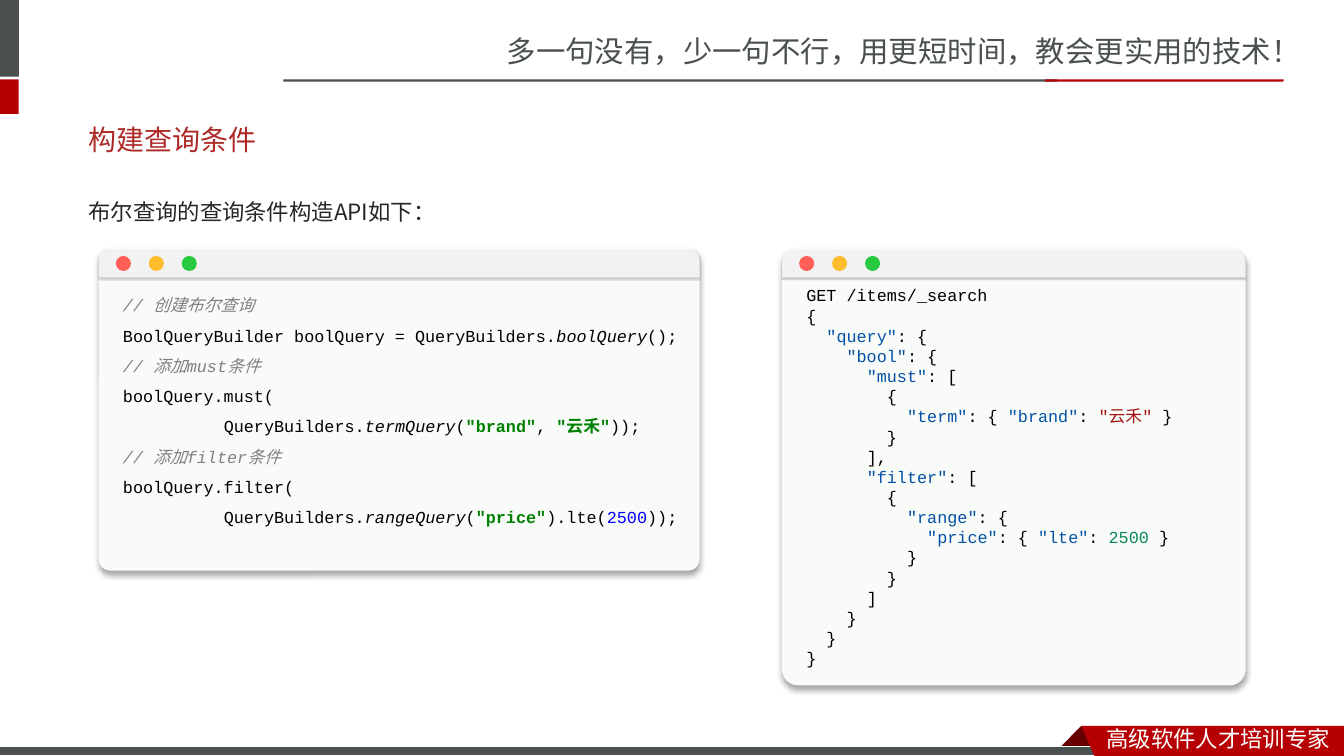
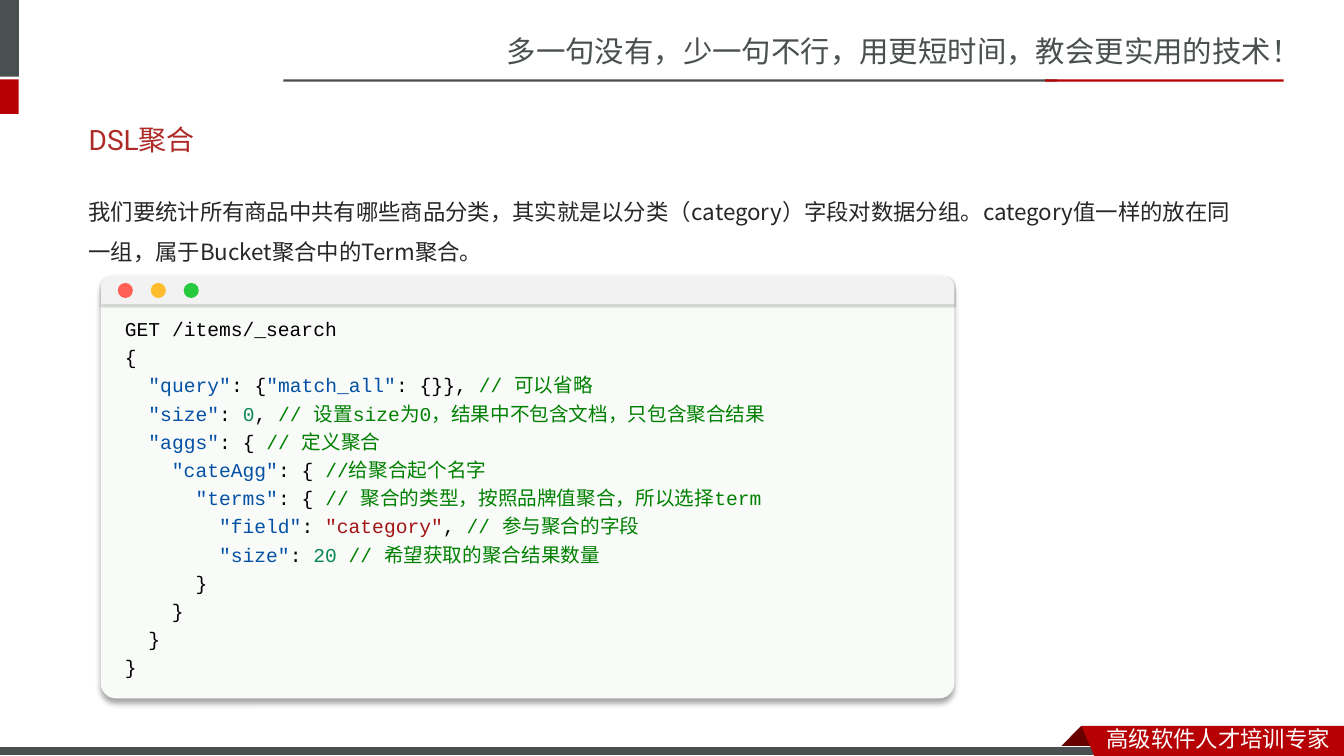
import pptx
import pptx.dml.color
import pptx.enum.shapes
import pptx.enum.text
import pptx.oxml.ns
import pptx.util
from lxml import etree

Cm = pptx.util.Cm
Pt = pptx.util.Pt
RGBColor = pptx.dml.color.RGBColor
Shape = pptx.enum.shapes.MSO_SHAPE
qn = pptx.oxml.ns.qn

# Colours
SLATE = RGBColor(0x49, 0x50, 0x4F)
RED = RGBColor(0xB6, 0x00, 0x04)
FOLD_RED = RGBColor(0x68, 0x00, 0x00)
TITLE_RED = RGBColor(0xAD, 0x2A, 0x26)
INK = RGBColor(0x26, 0x26, 0x26)
BLACK = RGBColor(0x00, 0x00, 0x00)
WHITE = RGBColor(0xFF, 0xFF, 0xFF)
PANEL = RGBColor(0xF9, 0xFB, 0xF9)
PANEL_BAR = RGBColor(0xF2, 0xF2, 0xF2)
WINDOW_DOTS = (RGBColor(0xFF, 0x5F, 0x56), RGBColor(0xFF, 0xBD, 0x2E),
               RGBColor(0x27, 0xC9, 0x3F))

# Fonts
SANS = "Noto Sans CJK SC"
BODY = "Noto Sans CJK JP"
TITLE = "Roboto"
MONO = "Courier New"

# Code styles: colour, bold, italic
KEY = (RGBColor(0x04, 0x51, 0xA5), False, False)
VALUE = (RGBColor(0xA3, 0x15, 0x15), False, False)
NUMBER = (RGBColor(0x09, 0x86, 0x58), False, False)
NOTE = (RGBColor(0x00, 0x80, 0x00), False, False)
JAVA_NOTE = (RGBColor(0x80, 0x80, 0x80), False, True)
JAVA_CALL = (BLACK, False, True)
JAVA_STRING = (RGBColor(0x00, 0x80, 0x00), True, False)
JAVA_NUMBER = (RGBColor(0x00, 0x00, 0xFF), False, False)

# Code listings: each line is its indent level, then plain text or (text, style)
JAVA_QUERY = [
    (0, ("// 创建布尔查询", JAVA_NOTE)),
    (0, "BoolQueryBuilder boolQuery = QueryBuilders.", ("boolQuery", JAVA_CALL), "();"),
    (0, ("// 添加must条件", JAVA_NOTE)),
    (0, "boolQuery.must("),
    (5, "QueryBuilders.", ("termQuery", JAVA_CALL), "(", ('"brand"', JAVA_STRING),
     ", ", ('"云禾"', JAVA_STRING), "));"),
    (0, ("// 添加filter条件", JAVA_NOTE)),
    (0, "boolQuery.filter("),
    (5, "QueryBuilders.", ("rangeQuery", JAVA_CALL), "(", ('"price"', JAVA_STRING),
     ").lte(", ("2500", JAVA_NUMBER), "));"),
]
BOOL_DSL = [
    (0, "GET /items/_search"),
    (0, "{"),
    (1, ('"query"', KEY), ": {"),
    (2, ('"bool"', KEY), ": {"),
    (3, ('"must"', KEY), ": ["),
    (4, "{"),
    (5, ('"term"', KEY), ": { ", ('"brand"', KEY), ": ", ('"云禾"', VALUE), " }"),
    (4, "}"),
    (3, "],"),
    (3, ('"filter"', KEY), ": ["),
    (4, "{"),
    (5, ('"range"', KEY), ": {"),
    (6, ('"price"', KEY), ": { ", ('"lte"', KEY), ": ", ("2500", NUMBER), " }"),
    (5, "}"),
    (4, "}"),
    (3, "]"),
    (2, "}"),
    (1, "}"),
    (0, "}"),
]
AGGS_DSL = [
    (0, "GET /items/_search"),
    (0, "{"),
    (1, ('"query"', KEY), ": {", ('"match_all"', KEY), ": {}}, ", ("// 可以省略", NOTE)),
    (1, ('"size"', KEY), ": ", ("0", NUMBER), ", ",
     ("// 设置size为0，结果中不包含文档，只包含聚合结果", NOTE)),
    (1, ('"aggs"', KEY), ": { ", ("// 定义聚合", NOTE)),
    (2, ('"cateAgg"', KEY), ": { ", ("//给聚合起个名字", NOTE)),
    (3, ('"terms"', KEY), ": { ", ("// 聚合的类型，按照品牌值聚合，所以选择term", NOTE)),
    (4, ('"field"', KEY), ": ", ('"category"', VALUE), ", ", ("// 参与聚合的字段", NOTE)),
    (4, ('"size"', KEY), ": ", ("20", NUMBER), " ", ("// 希望获取的聚合结果数量", NOTE)),
    (3, "}"),
    (2, "}"),
    (1, "}"),
    (0, "}"),
]


def paint(shape, fill, line=None):
    """Flat fill, no shadow, optional thin outline."""
    shape.shadow.inherit = False
    shape.fill.solid()
    shape.fill.fore_color.rgb = fill
    if line is None:
        shape.line.fill.background()
    else:
        shape.line.color.rgb = line
        shape.line.width = Pt(0.75)
    return shape


def add_block(shapes, kind, left, top, width, height, fill, line=None):
    block = shapes.add_shape(kind, Cm(left), Cm(top), Cm(width), Cm(height))
    return paint(block, fill, line)


def add_outline(shapes, points, fill):
    start, *rest = [(Cm(x), Cm(y)) for x, y in points]
    builder = shapes.build_freeform(*start, scale=1.0)
    builder.add_line_segments(rest, close=True)
    return paint(builder.convert_to_shape(), fill)


def drop_shadow(shape, blur, distance, opacity):
    """Soft black shadow straight below the shape."""
    effects = shape.element.spPr.find(qn("a:effectLst"))
    outer = etree.SubElement(effects, qn("a:outerShdw"), blurRad=str(Pt(blur)),
                             dist=str(Pt(distance)), dir="5400000", rotWithShape="0")
    black = etree.SubElement(outer, qn("a:srgbClr"), val="000000")
    etree.SubElement(black, qn("a:alpha"), val=str(opacity * 1000))


def style(paragraph, font_name, size, colour, east_asian=SANS):
    font = paragraph.font
    font.name, font.size, font.bold = font_name, Pt(size), False
    font.color.rgb = colour
    latin = paragraph._p.pPr.find(qn("a:defRPr")).find(qn("a:latin"))
    ea = etree.Element(qn("a:ea"), typeface=east_asian)
    latin.addnext(ea)


def add_text(shapes, left, top, width, height, text, font_name, size, colour):
    box = shapes.add_textbox(Cm(left), Cm(top), Cm(width), Cm(height))
    box.text_frame.word_wrap = True
    paragraph = box.text_frame.paragraphs[0]
    paragraph.text = text
    style(paragraph, font_name, size, colour, font_name)
    return paragraph


def add_header(shapes):
    add_text(shapes, 12.52, 0.71, 21.35, 1.19,
             "多一句没有，少一句不行，用更短时间，教会更实用的技术！", SANS, 21, SLATE)
    for left, top, width, height, fill in (
            (0, 0, 0.48, 1.93, SLATE), (0, 2, 0.47, 0.87, RED),
            (7.14, 2, 19.5, 0.06, SLATE), (26.34, 2, 6.01, 0.06, RED)):
        add_block(shapes, Shape.RECTANGLE, left, top, width, height, fill)


def add_footer(shapes):
    left, top, right, bottom = 27.25, 18.29, 33.87, 19.05
    add_outline(shapes, [(left, top), (left + 0.56, top + 0.56), (left + 0.53, top + 0.58),
                         (left - 0.53, top + 0.58), (left - 0.55, top + 0.56)], FOLD_RED)
    add_block(shapes, Shape.RECTANGLE, 0, 18.82, 27.9, 0.23, SLATE, WHITE)
    add_outline(shapes, [(left, top), (right, top), (right, bottom), (left + 0.33, bottom)],
                RED)
    add_text(shapes, 27.64, 18.16, 6.22, 0.94, "高级软件人才培训专家", SANS, 16, WHITE)


def add_code_panel(slide, left, top, width, height, lines, size, spacing):
    """Editor window: rounded panel, code, title bar and three dots."""
    parts = slide.shapes.add_group_shape().shapes
    panel = add_block(parts, Shape.ROUNDED_RECTANGLE, left, top, width, height, PANEL)
    panel.adjustments[0] = 0.036
    drop_shadow(panel, 4, 3, 34)

    # Code
    code = parts.add_textbox(Cm(left), Cm(top + 0.81), Cm(width), Cm(height - 0.81))
    frame = code.text_frame
    frame.word_wrap = True
    frame.margin_left, frame.margin_right = Cm(0.61), 0
    for number, (level, *pieces) in enumerate(lines):
        paragraph = frame.paragraphs[0] if number == 0 else frame.add_paragraph()
        style(paragraph, MONO, size, BLACK)
        paragraph.line_spacing = spacing
        # A level is two characters, each 0.6 of the text size wide
        paragraph._p.pPr.set("marL", str(Pt(level * 1.2 * size)))
        paragraph._p.pPr.set("indent", "0")
        for piece in pieces:
            run = paragraph.add_run()
            if isinstance(piece, str):
                run.text = piece
            else:
                run.text, (colour, run.font.bold, run.font.italic) = piece
                run.font.color.rgb = colour

    # Title bar and dots
    bar = add_block(parts, Shape.ROUND_2_SAME_RECTANGLE, left, top + 0.05, width, 0.69,
                    PANEL_BAR)
    bar.adjustments[0] = 0.36
    drop_shadow(bar, 1, 1, 20)
    for position, colour in enumerate(WINDOW_DOTS):
        add_block(parts, Shape.OVAL, left + 0.43 + position * 0.83, top + 0.2, 0.38, 0.38,
                  colour)


def add_lesson(deck, title, intro, panels):
    """Slide with the shared frame, a title, an introduction and code panels."""
    slide = deck.slides.add_slide(deck.slide_layouts[5])
    add_header(slide.shapes)
    add_footer(slide.shapes)

    heading = slide.shapes.title
    heading.left, heading.top, heading.width, heading.height = (
        Cm(1.98), Cm(2.95), Cm(29.72), Cm(1.12))
    heading.text_frame.text = title
    heading.text_frame.vertical_anchor = pptx.enum.text.MSO_ANCHOR.MIDDLE
    heading_line = heading.text_frame.paragraphs[0]
    heading_line.alignment = pptx.enum.text.PP_ALIGN.LEFT
    style(heading_line, TITLE, 20, TITLE_RED)

    intro_line = add_text(slide.shapes, 1.98, 4.52, 29.72, 1.8, intro, BODY, 16, INK)
    intro_line.line_spacing = 1.5
    intro_line.space_before = Pt(3.2)
    for panel in panels:
        add_code_panel(slide, *panel)


def main():
    deck = pptx.Presentation()
    deck.slide_width, deck.slide_height = Cm(33.87), Cm(19.05)
    add_lesson(deck, "构建查询条件", "布尔查询的查询条件构造API如下：", [
        (19.71, 6.25, 11.68, 11.02, BOOL_DSL, 12, 1),
        (2.49, 6.25, 15.14, 8.13, JAVA_QUERY, 12, 1.5),
    ])
    add_lesson(
        deck, "DSL聚合",
        "我们要统计所有商品中共有哪些商品分类，其实就是以分类（category）字段对数据分组。"
        "category值一样的放在同一组，属于Bucket聚合中的Term聚合。",
        [(2.54, 6.93, 21.51, 10.67, AGGS_DSL, 14, 1.2)])
    deck.save("out.pptx")


if __name__ == "__main__":
    main()
